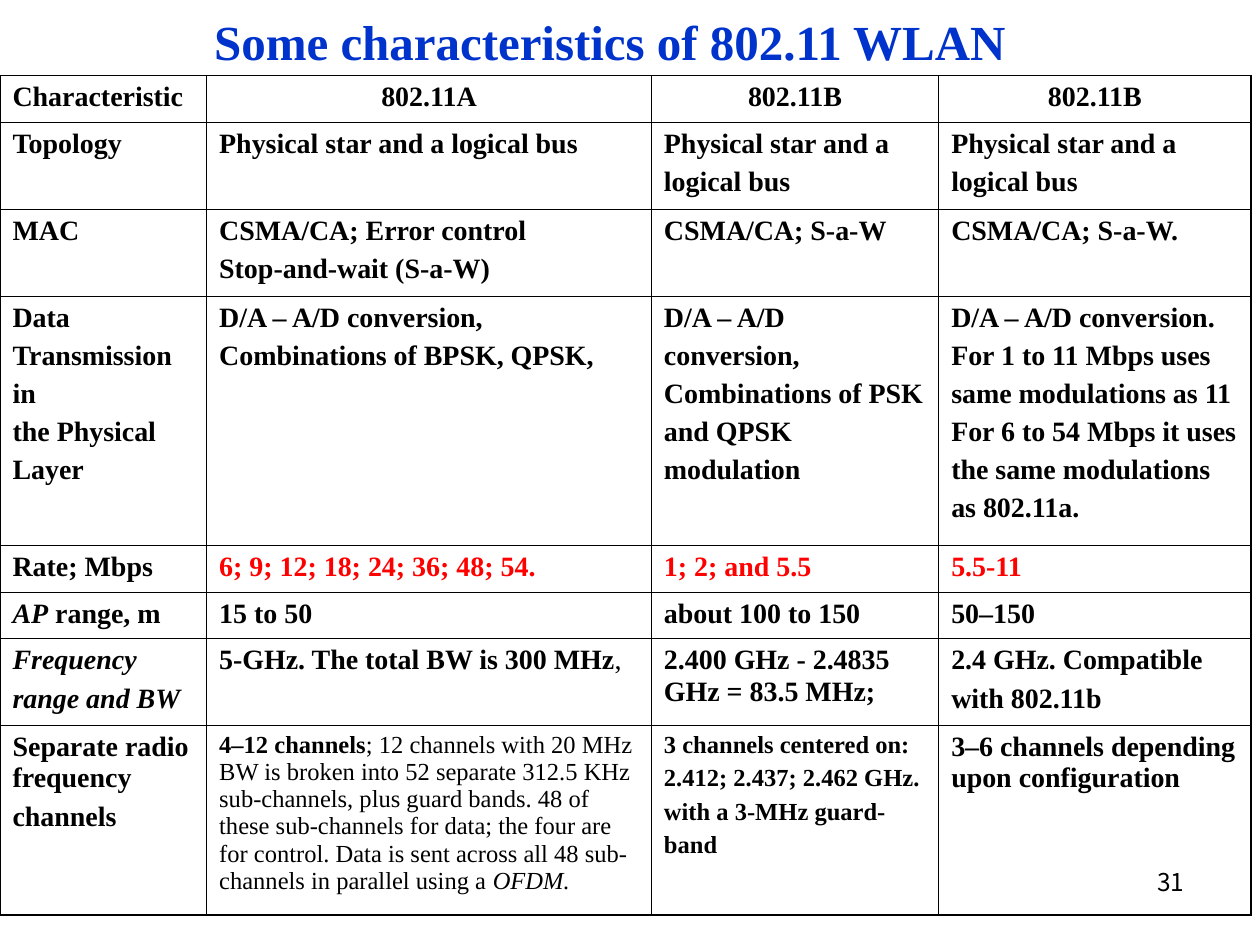
from lxml import etree
from pptx import Presentation
from pptx.dml.color import RGBColor
from pptx.enum.text import MSO_ANCHOR, PP_ALIGN
from pptx.oxml.ns import qn
from pptx.util import Inches, Pt

LEFT, CENTER, RIGHT = PP_ALIGN.LEFT, PP_ALIGN.CENTER, PP_ALIGN.RIGHT
MIDDLE = MSO_ANCHOR.MIDDLE
COLORS = {"text": "000000", "title": "0033CC", "rate": "FF0000"}
SERIF, SANS = "Times New Roman", "Noto Sans CJK KR"
THIN, THICK = 0.45, 1.08
COL_WIDTHS = [1.64, 3.53, 2.28, 2.48]
ROW_HEIGHTS = [0.37, 0.69, 0.69, 1.98, 0.37, 0.37, 0.69, 1.5]
HEADER_ROW, RATE_ROW, CHANNEL_ROW = 0, 4, 7

ROWS = [
    ["Characteristic", "802.11A", "802.11B", "802.11B"],
    ["Topology", "Physical star and a logical bus",
     "Physical star and a\nlogical bus", "Physical star and a\nlogical bus"],
    ["MAC", "CSMA/CA; Error control\nStop-and-wait (S-a-W)",
     "CSMA/CA; S-a-W", "CSMA/CA; S-a-W."],
    ["Data\nTransmission\nin\nthe Physical\nLayer",
     "D/A – A/D conversion,\nCombinations of BPSK, QPSK,",
     "D/A – A/D\nconversion,\nCombinations of PSK\nand QPSK\nmodulation",
     "D/A – A/D conversion.\nFor 1 to 11 Mbps uses\nsame modulations as 11\n"
     "For 6 to 54 Mbps it uses\nthe same modulations\nas 802.11a."],
    ["Rate; Mbps", "6; 9; 12; 18; 24; 36; 48; 54.", "1; 2; and 5.5", "5.5-11"],
    [[("AP", {"italic": True}), (" range, m", {})],
     "15 to 50", "about 100 to 150", "50–150"],
    [[("Frequency\nrange and BW", {"italic": True})],
     [("5-GHz. The total BW is 300 MHz", {}), (",", {"bold": False})],
     "2.400 GHz - 2.4835 GHz = 83.5 MHz;",
     "2.4 GHz. Compatible\nwith 802.11b"],
    ["Separate radio frequency\nchannels",
     [("4–12 channels", {}),
      ("; 12 channels with 20 MHz BW is broken into 52 separate 312.5 KHz "
       "sub-channels, plus guard bands. 48 of these sub-channels for data; "
       "the four are for control. Data is sent across all 48 sub-channels "
       "in parallel using a ", {"bold": False}),
      ("OFDM.", {"bold": False, "italic": True})],
     "3 channels centered on:\n2.412; 2.437; 2.462 GHz.\n"
     "with a 3-MHz guard-\nband",
     "3–6 channels depending upon configuration"],
]


def add_run(p, text, size=16, font=SERIF, color="text", bold=True, italic=False):
    r = p.add_run()
    r.text = text
    r.font.size = Pt(size)
    r.font.name = font
    r.font.bold = bold
    r.font.italic = italic
    r.font.color.rgb = RGBColor.from_string(COLORS[color])


def write_text(tf, content, align=LEFT, **fmt):
    runs = [(content, {})] if isinstance(content, str) else content
    p = tf.paragraphs[0]
    p.alignment = align
    for text, changes in runs:
        for i, line in enumerate(text.split("\n")):
            if i:
                p = tf.add_paragraph()
                p.alignment = align
                p.space_before = Pt(fmt.get("size", 16) / 4)
            add_run(p, line, **{**fmt, **changes})


def set_borders(cell, widths):
    tcPr = cell._tc.get_or_add_tcPr()
    for i, (side, width) in enumerate(widths.items()):
        ln = etree.Element(qn(f"a:ln{side}"), w=str(Pt(width)))
        fill = etree.SubElement(ln, qn("a:solidFill"))
        etree.SubElement(fill, qn("a:srgbClr"), val=COLORS["text"])
        tcPr.insert(i, ln)


def add_title(s, text):
    sp = s.shapes.title
    sp.left, sp.top = Inches(0.34), Inches(0.08)
    sp.width, sp.height = Inches(9), Inches(0.49)
    tf = sp.text_frame
    tf.vertical_anchor = MIDDLE
    tf.margin_left = tf.margin_right = tf.margin_top = tf.margin_bottom = 0
    write_text(tf, text, align=CENTER, size=28, color="title")


def add_page_number(s, text):
    sp = s.shapes.add_textbox(Inches(7.17), Inches(6.83), Inches(2.33), Inches(0.52))
    sp.text_frame.word_wrap = True
    write_text(sp.text_frame, text, align=RIGHT, size=14, font=SANS, bold=False)


def add_table(s):
    n_rows, n_cols = len(ROWS), len(COL_WIDTHS)
    table = s.shapes.add_table(n_rows, n_cols, 0, Inches(0.6),
                               Inches(sum(COL_WIDTHS)), Inches(sum(ROW_HEIGHTS))).table
    table.first_row = table.horz_banding = False
    for column, width in zip(table.columns, COL_WIDTHS):
        column.width = Inches(width)
    for i, (row, height) in enumerate(zip(ROWS, ROW_HEIGHTS)):
        table.rows[i].height = Inches(height)
        for j, content in enumerate(row):
            cell = table.cell(i, j)
            cell.fill.background()
            set_borders(cell, {
                "L": THICK if j == 0 else THIN,
                "R": THICK if j == n_cols - 1 else THIN,
                "T": THICK if i == 0 else THIN,
                "B": THICK if i == n_rows - 1 else THIN,
            })
            write_text(cell.text_frame, content,
                       align=CENTER if i == HEADER_ROW and j else LEFT,
                       size=14 if i == CHANNEL_ROW and j in (1, 2) else 16,
                       color="rate" if i == RATE_ROW and j else "text")


def main():
    prs = Presentation()
    prs.slide_width, prs.slide_height = Inches(10), Inches(7.5)
    s = prs.slides.add_slide(prs.slide_layouts[5])
    add_page_number(s, "31")
    add_title(s, "Some characteristics of 802.11 WLAN")
    add_table(s)
    prs.save("out.pptx")


if __name__ == "__main__":
    main()
